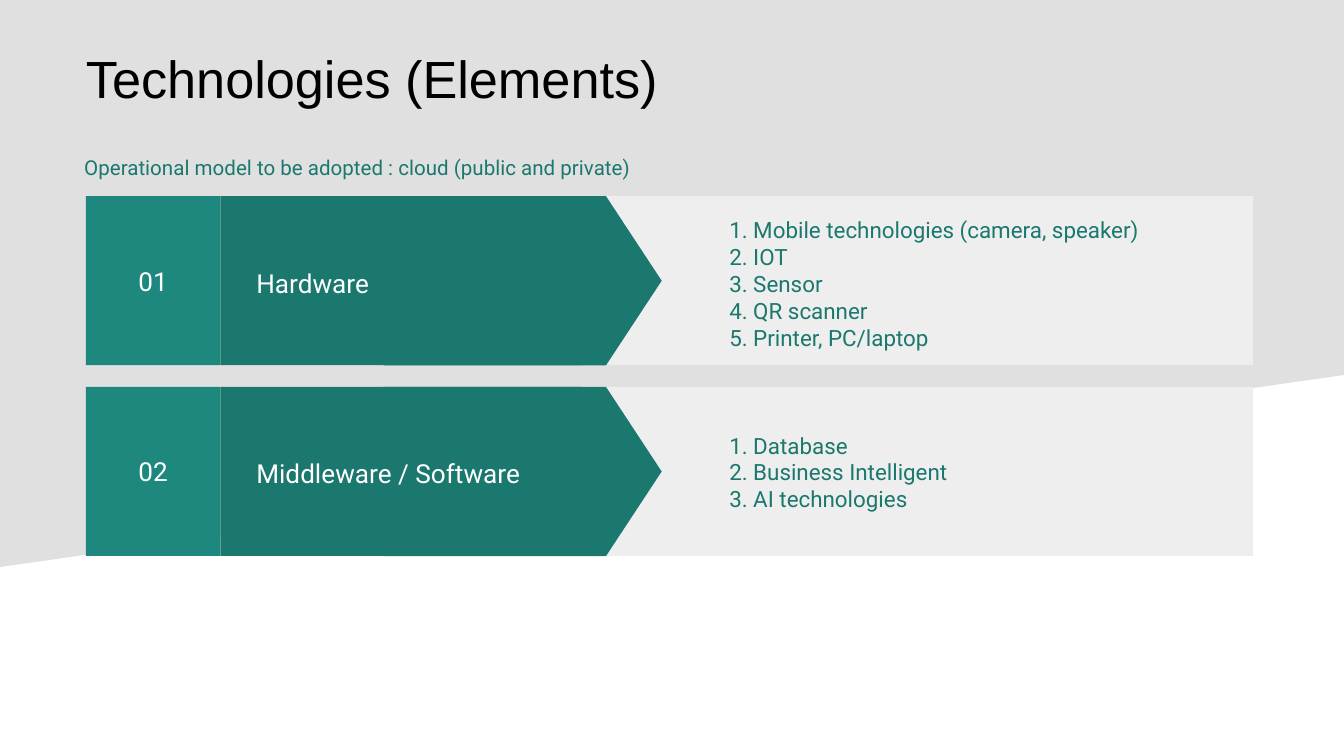
from dataclasses import dataclass

from pptx import Presentation
from pptx.dml.color import RGBColor
from pptx.enum.shapes import MSO_SHAPE
from pptx.enum.text import MSO_ANCHOR, MSO_AUTO_SIZE, PP_ALIGN
from pptx.shapes.autoshape import Shape
from pptx.slide import Slide
from pptx.text.text import TextFrame
from pptx.util import Pt

RECTANGLE = MSO_SHAPE.RECTANGLE
ARROW_HEAD = MSO_SHAPE.FLOWCHART_OFFPAGE_CONNECTOR
TOP, MIDDLE = MSO_ANCHOR.TOP, MSO_ANCHOR.MIDDLE
LEFT, CENTER = PP_ALIGN.LEFT, PP_ALIGN.CENTER

BLACK = RGBColor(0x00, 0x00, 0x00)
WHITE = RGBColor(0xFF, 0xFF, 0xFF)
BACKDROP_GREY = RGBColor(0xE0, 0xE0, 0xE0)
PANEL_GREY = RGBColor(0xEE, 0xEE, 0xEE)
DARK_TEAL = RGBColor(0x1B, 0x78, 0x6E)
TEAL = RGBColor(0x1F, 0x88, 0x7E)

SLIDE_WIDTH, SLIDE_HEIGHT = 720, 405
ROW_LEFT, ROW_TOP, ROW_HEIGHT, ROW_PITCH = 46, 105.1, 90.6, 102.2
NUMBER_WIDTH = 72
HEAD_LENGTH, HEAD_TIP = 149, 354.5


@dataclass(frozen=True)
class Technology:
    name: str
    elements: tuple[str, ...]
    list_offset: float


TECHNOLOGIES = (
    Technology(
        "Hardware",
        ("Mobile technologies (camera, speaker)", "IOT", "Sensor",
         "QR scanner", "Printer, PC/laptop"),
        7.2,
    ),
    Technology(
        "Middleware / Software",
        ("Database", "Business Intelligent", "AI technologies"),
        20.4,
    ),
)


def write(frame: TextFrame, text: str, size: float, color: RGBColor,
          font: str = "Roboto", align: PP_ALIGN = LEFT,
          anchor: MSO_ANCHOR = TOP, inset_y: float = 3.6) -> None:
    frame.text = text
    frame.word_wrap = True
    frame.auto_size = MSO_AUTO_SIZE.NONE
    frame.vertical_anchor = anchor
    frame.margin_left = frame.margin_right = Pt(7.2)
    frame.margin_top = frame.margin_bottom = Pt(inset_y)
    for paragraph in frame.paragraphs:
        paragraph.alignment = align
        for run in paragraph.runs:
            run.font.name = font
            run.font.size = Pt(size)
            run.font.color.rgb = color


def paint(shape: Shape, color: RGBColor) -> None:
    shape.shadow.inherit = False
    shape.fill.solid()
    shape.fill.fore_color.rgb = color
    shape.line.fill.background()


def add_block(slide: Slide, kind: MSO_SHAPE, left: float, top: float,
              width: float, height: float, color: RGBColor) -> Shape:
    block = slide.shapes.add_shape(kind, Pt(left), Pt(top), Pt(width), Pt(height))
    paint(block, color)
    return block


def add_text(slide: Slide, text: str, left: float, top: float, width: float,
             height: float, size: float, color: RGBColor) -> None:
    box = slide.shapes.add_textbox(Pt(left), Pt(top), Pt(width), Pt(height))
    write(box.text_frame, text, size, color)


def add_backdrop(slide: Slide) -> None:
    outline = slide.shapes.build_freeform(Pt(0), Pt(303.8))
    outline.add_line_segments(
        [(Pt(0), Pt(0)), (Pt(SLIDE_WIDTH), Pt(0)), (Pt(SLIDE_WIDTH), Pt(200.9))],
        close=True)
    paint(outline.convert_to_shape(), BACKDROP_GREY)


def add_title(slide: Slide, text: str) -> None:
    title = slide.shapes.title
    title.left, title.top = Pt(-38.9), Pt(1.4)
    title.width, title.height = Pt(476), Pt(80.6)
    write(title.text_frame, text, 28, BLACK, "Arial", CENTER, MIDDLE, 0)
    title.text_frame.margin_left = title.text_frame.margin_right = 0


def add_technology(slide: Slide, number: int, technology: Technology) -> None:
    top = ROW_TOP + (number - 1) * ROW_PITCH

    # Panel and arrow
    add_block(slide, RECTANGLE, 270, top, 401.2, ROW_HEIGHT, PANEL_GREY)
    add_block(slide, RECTANGLE, ROW_LEFT + NUMBER_WIDTH, top, 193.7, ROW_HEIGHT,
              DARK_TEAL)
    # The head is laid out upright, then turned about its centre to point right
    head = add_block(slide, ARROW_HEAD,
                     HEAD_TIP - (HEAD_LENGTH + ROW_HEIGHT) / 2,
                     top + (ROW_HEIGHT - HEAD_LENGTH) / 2,
                     ROW_HEIGHT, HEAD_LENGTH, DARK_TEAL)
    head.rotation = 270

    # Number, name and elements
    number_block = add_block(slide, RECTANGLE, ROW_LEFT, top, NUMBER_WIDTH,
                             ROW_HEIGHT, TEAL)
    write(number_block.text_frame, f"{number:02}", 14, WHITE,
          align=CENTER, anchor=MIDDLE, inset_y=7.2)
    add_text(slide, technology.name, 130.2, top + 34.4, 193.7, 40, 14, WHITE)
    elements = "\n".join(f"{i}. {element}"
                         for i, element in enumerate(technology.elements, 1))
    add_text(slide, elements, 383.6, top + technology.list_offset, 278.6, 85.7,
             12, DARK_TEAL)


def main() -> None:
    presentation = Presentation()
    presentation.slide_width = Pt(SLIDE_WIDTH)
    presentation.slide_height = Pt(SLIDE_HEIGHT)
    slide = presentation.slides.add_slide(presentation.slide_layouts[5])

    add_backdrop(slide)
    add_title(slide, "Technologies (Elements)")
    # Bring the title in front of the backdrop
    slide.shapes.title.element.getparent().append(slide.shapes.title.element)

    for number, technology in enumerate(TECHNOLOGIES, 1):
        add_technology(slide, number, technology)
    add_text(slide, "Operational model to be adopted : cloud (public and private)",
             38, 79.3, 406.8, 31, 11, DARK_TEAL)

    presentation.save("out.pptx")


if __name__ == "__main__":
    main()
